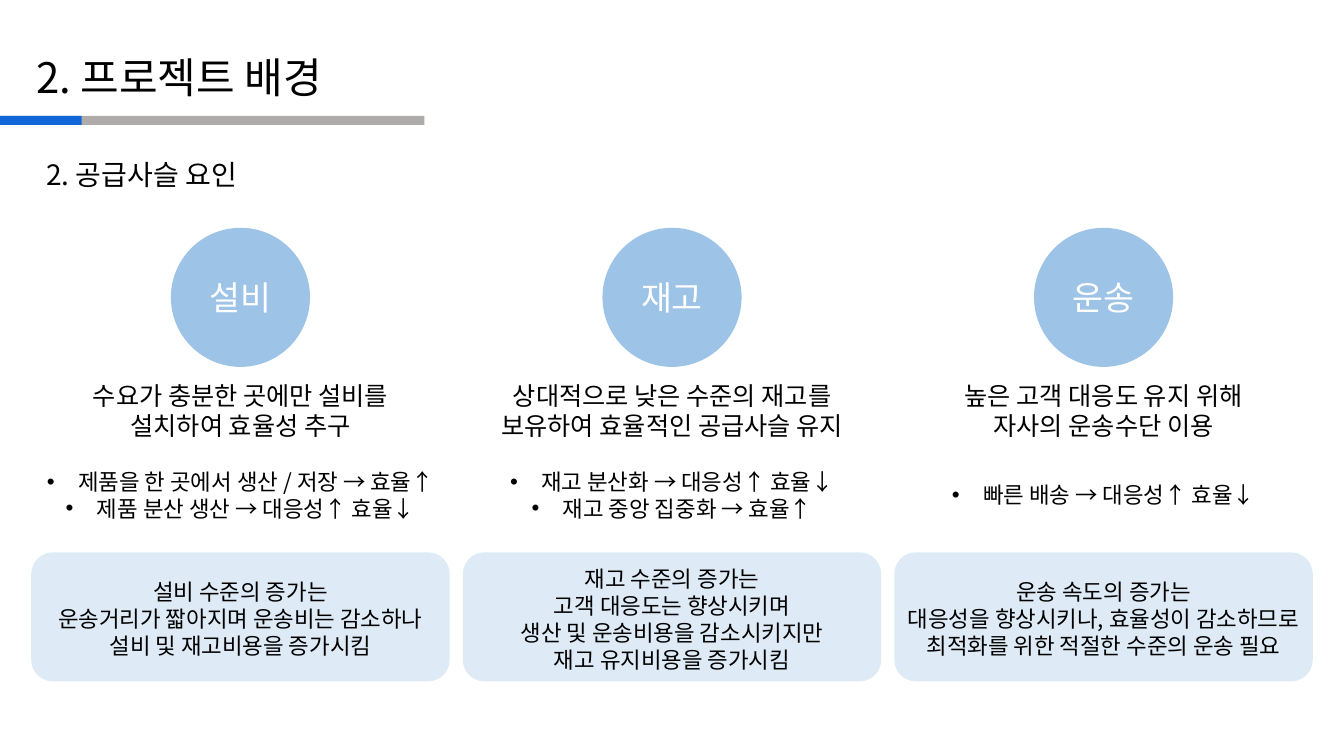
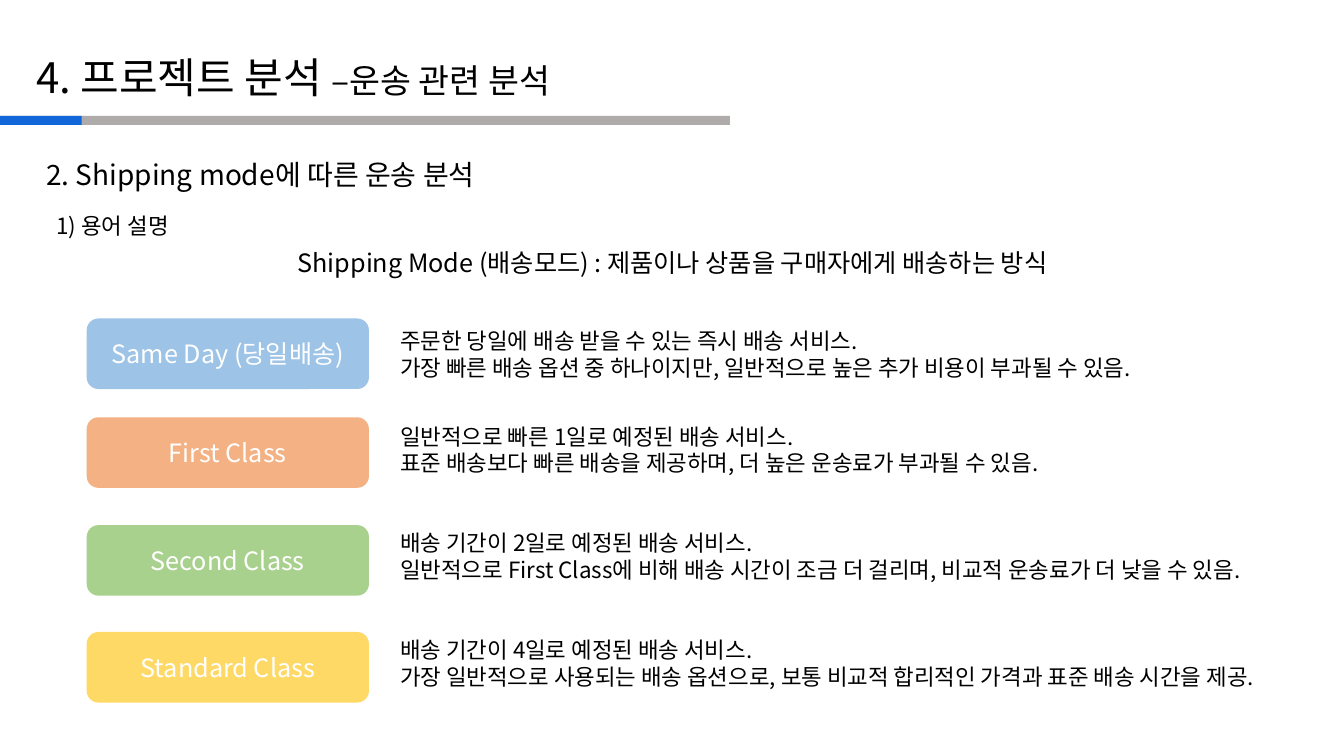
from dataclasses import dataclass

from lxml import etree
from pptx import Presentation
from pptx.dml.color import RGBColor
from pptx.enum import shapes, text
from pptx.oxml import ns
from pptx.util import Inches, Pt

MID, TOP = text.MSO_ANCHOR.MIDDLE, text.MSO_ANCHOR.TOP
LEFT, MIDDLE = text.PP_ALIGN.LEFT, text.PP_ALIGN.CENTER
KIND = shapes.MSO_SHAPE


@dataclass(frozen=True)
class Theme:
    font: str = "Noto Sans CJK KR"
    ink: str = "000000"
    white: str = "FFFFFF"
    gray: str = "AFABAB"
    accent: str = "1167D9"
    blue: str = "9DC3E6"
    pale: str = "DEEBF7"
    orange: str = "F4B183"
    green: str = "A9D18E"
    yellow: str = "FFD966"
    title: int = 30
    large: int = 24
    head: int = 20
    lead: int = 18
    body: int = 16
    leading: float = 1.2


THEME = Theme()

FACTORS = [
    ("설비",
     ["수요가 충분한 곳에만 설비를", "설치하여 효율성 추구"],
     ["제품을 한 곳에서 생산 / 저장 → 효율↑", "제품 분산 생산 → 대응성↑ 효율↓"],
     ["설비 수준의 증가는", "운송거리가 짧아지며 운송비는 감소하나",
      "설비 및 재고비용을 증가시킴"]),
    ("재고",
     ["상대적으로 낮은 수준의 재고를", "보유하여 효율적인 공급사슬 유지"],
     ["재고 분산화 → 대응성↑ 효율↓", "재고 중앙 집중화 → 효율↑"],
     ["재고 수준의 증가는", "고객 대응도는 향상시키며",
      "생산 및 운송비용을 감소시키지만", "재고 유지비용을 증가시킴"]),
    ("운송",
     ["높은 고객 대응도 유지 위해", "자사의 운송수단 이용"],
     ["빠른 배송 → 대응성↑ 효율↓"],
     ["운송 속도의 증가는", "대응성을 향상시키나, 효율성이 감소하므로",
      "최적화를 위한 적절한 수준의 운송 필요"]),
]

MODES = [
    (3.16, 3.24, "Same Day (당일배송)", THEME.blue,
     ["주문한 당일에 배송 받을 수 있는 즉시 배송 서비스.",
      "가장 빠른 배송 옵션 중 하나이지만, 일반적으로 높은 추가 비용이 부과될 수 있음."]),
    (4.14, 4.19, "First Class", THEME.orange,
     ["일반적으로 빠른 1일로 예정된 배송 서비스.",
      "표준 배송보다 빠른 배송을 제공하며, 더 높은 운송료가 부과될 수 있음."]),
    (5.21, 5.25, "Second Class", THEME.green,
     ["배송 기간이 2일로 예정된 배송 서비스.",
      "일반적으로 First Class에 비해 배송 시간이 조금 더 걸리며, "
      "비교적 운송료가 더 낮을 수 있음."]),
    (6.27, 6.31, "Standard Class", THEME.yellow,
     ["배송 기간이 4일로 예정된 배송 서비스.",
      "가장 일반적으로 사용되는 배송 옵션으로, "
      "보통 비교적 합리적인 가격과 표준 배송 시간을 제공."]),
]


def place(x, y, w, h):
    return [Inches(n) for n in (x, y, w, h)]


def add_run(para, words, size, color):
    run = para.add_run()
    run.text = words
    font = run.font
    font.name, font.size = THEME.font, Pt(size)
    font.color.rgb = RGBColor.from_string(color)
    east = etree.SubElement(run._r.get_or_add_rPr(), ns.qn("a:ea"))
    east.set("typeface", THEME.font)


def set_bullet(para):
    props = para._p.get_or_add_pPr()
    props.set("marL", str(Inches(0.31)))
    props.set("indent", str(-Inches(0.31)))
    etree.SubElement(props, ns.qn("a:buFont")).set("typeface", "Arial")
    etree.SubElement(props, ns.qn("a:buChar")).set("char", "•")


def write(frame, lines, size, color=THEME.ink, align=LEFT, anchor=MID,
          bullet=False):
    """Fill a frame; each line is a list of (words, size) or one string."""
    frame.word_wrap = True
    frame.auto_size = text.MSO_AUTO_SIZE.NONE
    frame.vertical_anchor = anchor
    frame.margin_left = frame.margin_right = 0
    frame.margin_top = frame.margin_bottom = 0
    for i, line in enumerate(lines):
        para = frame.add_paragraph() if i else frame.paragraphs[0]
        para.alignment = align
        para.line_spacing = Pt(size * THEME.leading)
        if bullet:
            set_bullet(para)
        parts = [(line, size)] if isinstance(line, str) else line
        for words, points in parts:
            add_run(para, words, points, color)


def add_text(slide, box, lines, size, **style):
    frame = slide.shapes.add_textbox(*place(*box)).text_frame
    write(frame, lines, size, **style)


def add_block(slide, kind, box, fill, label=None, size=THEME.lead):
    block = slide.shapes.add_shape(kind, *place(*box))
    block.shadow.inherit = False
    block.fill.solid()
    block.fill.fore_color.rgb = RGBColor.from_string(fill)
    block.line.fill.background()
    if label:
        write(block.text_frame, [label], size, THEME.white, MIDDLE)


def add_page(deck, title, head, bar):
    """Add a slide with its title, a two-colour rule and a heading."""
    slide = deck.slides.add_slide(deck.slide_layouts[5])
    holder = slide.shapes.title
    holder.left, holder.top, holder.width, holder.height = place(
        0.36, 0.51, 6.96, 0.5)
    write(holder.text_frame, [title], THEME.title)
    for width, color in ((bar, THEME.gray), (0.81, THEME.accent)):
        add_block(slide, KIND.RECTANGLE, (0, 1.15, width, 0.09), color)
    add_text(slide, (0.46, 1.56, 5.6, 0.34), [head], THEME.head, anchor=TOP)
    return slide


def add_factor(slide, x, name, lead, points, result):
    wide, disc = 4.15, 1.38
    add_block(slide, KIND.OVAL, (x + (wide - disc) / 2, 2.26, disc, disc),
              THEME.blue, name, THEME.large)
    add_text(slide, (x, 3.77, wide, 0.61), lead, THEME.lead, align=MIDDLE)
    add_text(slide, (x, 4.64, wide, 0.54), points, THEME.body,
             align=MIDDLE, bullet=True)
    add_block(slide, KIND.ROUNDED_RECTANGLE, (x, 5.48, wide, 1.28), THEME.pale)
    add_text(slide, (x, 5.6, wide, 1.08), result, THEME.body, align=MIDDLE)


def add_mode(slide, top, note, name, color, lines):
    add_block(slide, KIND.ROUNDED_RECTANGLE, (0.86, top, 2.8, 0.7), color, name)
    add_text(slide, (3.97, note, 8.5, 0.54), lines, THEME.body)


def main():
    deck = Presentation()
    deck.slide_width, deck.slide_height = Inches(13.33), Inches(7.5)

    slide = add_page(deck, "2. 프로젝트 배경", "2. 공급사슬 요인", 4.21)
    for i, factor in enumerate(FACTORS):
        add_factor(slide, 0.31 + 4.28 * i, *factor)

    title = [("4. 프로젝트 분석 ", THEME.title), ("–운송 관련 분석", THEME.large)]
    slide = add_page(deck, title, "2. Shipping mode에 따른 운송 분석", 7.24)
    add_text(slide, (0.56, 2.1, 3.94, 0.27), ["1) 용어 설명"], THEME.body)
    add_text(slide, (1.46, 2.45, 10.42, 0.3),
             ["Shipping Mode (배송모드) : 제품이나 상품을 구매자에게 배송하는 방식"],
             THEME.lead, align=MIDDLE)
    for mode in MODES:
        add_mode(slide, *mode)

    deck.save("out.pptx")


if __name__ == "__main__":
    main()
